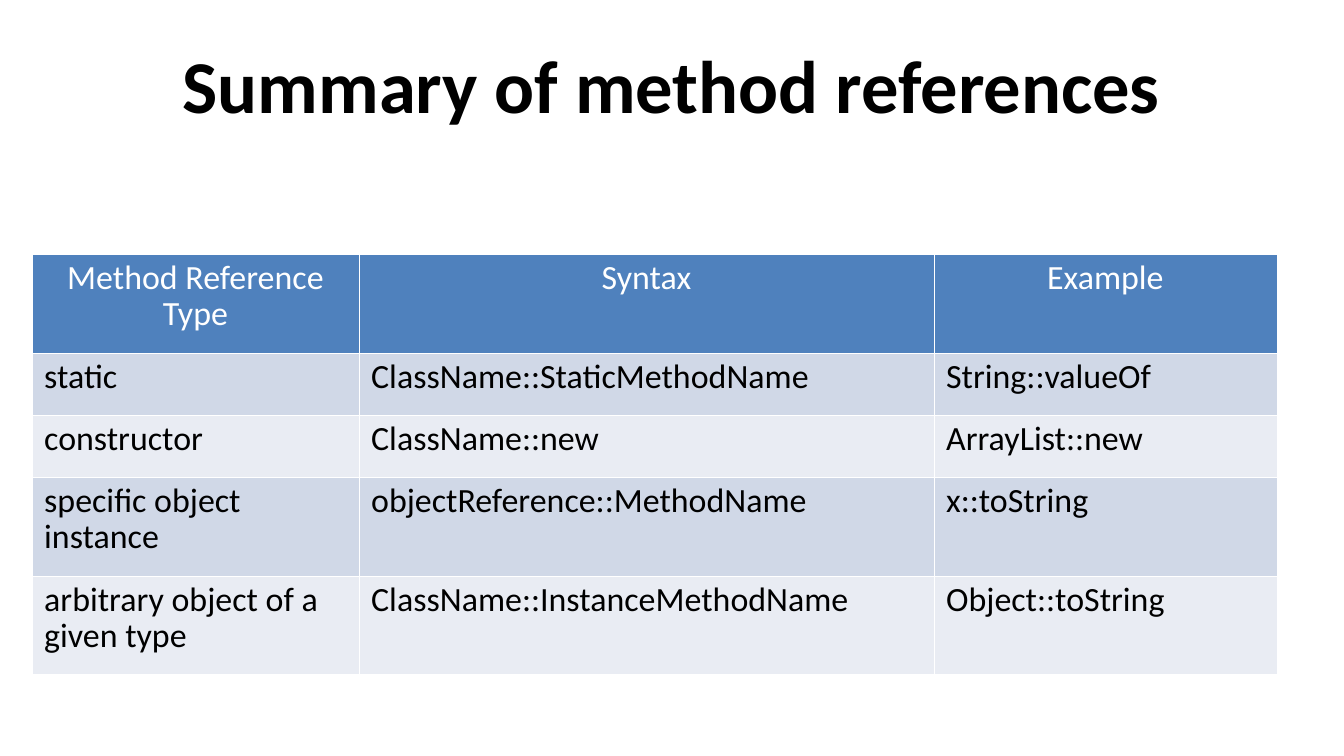
from typing import Any, NamedTuple

from lxml.etree import SubElement
from pptx import Presentation
from pptx.dml.color import RGBColor
from pptx.enum.text import MSO_ANCHOR, PP_ALIGN
from pptx.oxml.ns import qn
from pptx.util import Pt

PX = 7495  # EMU per px at 122 px to the inch
FONT = "Calibri"
BLACK = RGBColor(0x00, 0x00, 0x00)
WHITE = RGBColor(0xFF, 0xFF, 0xFF)
HEADER_BLUE = RGBColor(0x4F, 0x81, 0xBD)
BAND_DARK = RGBColor(0xD0, 0xD8, 0xE7)
BAND_LIGHT = RGBColor(0xE9, 0xEC, 0xF3)

TITLE_FORMAT = {"name": FONT, "size": Pt(44), "bold": True}
CELL_FORMAT = {"name": FONT, "size": Pt(20), "bold": False}
BORDER_WIDTH = Pt(0.5)
COLUMN_WIDTHS = (327, 575, 343)


class Box(NamedTuple):
    left: int
    top: int
    width: int
    height: int

    def emu(self) -> list[int]:
        return [value * PX for value in self]


class Row(NamedTuple):
    height: int
    texts: tuple[str, str, str]


TITLE_BOX = Box(67, 30, 1210, 126)
TABLE_LEFT, TABLE_TOP = 32, 254
ROWS = (
    Row(99, ("Method Reference Type", "Syntax", "Example")),
    Row(62, ("static", "ClassName::StaticMethodName", "String::valueOf")),
    Row(62, ("constructor", "ClassName::new", "ArrayList::new")),
    Row(99, ("specific object instance", "objectReference::MethodName", "x::toString")),
    Row(99, ("arbitrary object of a given type", "ClassName::InstanceMethodName",
             "Object::toString")),
)


def write(p: Any, text: str, font_format: dict[str, Any], color: RGBColor) -> None:
    r = p.add_run()
    r.text = text
    for name, value in font_format.items():
        setattr(r.font, name, value)
    r.font.color.rgb = color


def add_borders(cell: Any) -> None:
    """Rule all four sides in white; borders must precede the cell fill."""
    tc_pr = cell._tc.get_or_add_tcPr()
    for side in ("lnL", "lnR", "lnT", "lnB"):
        line = SubElement(tc_pr, qn(f"a:{side}"), w=str(BORDER_WIDTH))
        fill = SubElement(line, qn("a:solidFill"))
        SubElement(fill, qn("a:srgbClr"), val=str(WHITE))


def add_title(s: Any) -> None:
    tf = s.shapes.add_textbox(*TITLE_BOX.emu()).text_frame
    tf.word_wrap = True
    tf.vertical_anchor = MSO_ANCHOR.TOP
    tf.margin_top = 9 * PX
    p = tf.paragraphs[0]
    p.alignment = PP_ALIGN.CENTER
    write(p, "Summary of method references", TITLE_FORMAT, BLACK)


def add_reference_table(s: Any) -> None:
    box = Box(TABLE_LEFT, TABLE_TOP, sum(COLUMN_WIDTHS), sum(row.height for row in ROWS))
    table = s.shapes.add_table(len(ROWS), len(COLUMN_WIDTHS), *box.emu()).table
    for column, width in zip(table.columns, COLUMN_WIDTHS):
        column.width = width * PX
    for i, row in enumerate(ROWS):
        table.rows[i].height = row.height * PX
        is_header = i == 0
        band = HEADER_BLUE if is_header else BAND_DARK if i % 2 else BAND_LIGHT
        for j, text in enumerate(row.texts):
            cell = table.cell(i, j)
            add_borders(cell)
            cell.fill.solid()
            cell.fill.fore_color.rgb = band
            p = cell.text_frame.paragraphs[0]
            p.line_spacing = 0.88
            p.alignment = PP_ALIGN.CENTER if is_header else PP_ALIGN.LEFT
            write(p, text, CELL_FORMAT, WHITE if is_header else BLACK)


def main() -> None:
    prs = Presentation()
    prs.slide_width, prs.slide_height = 1344 * PX, 756 * PX
    s = prs.slides.add_slide(prs.slide_layouts[6])
    add_title(s)
    add_reference_table(s)
    prs.save("out.pptx")


if __name__ == "__main__":
    main()
